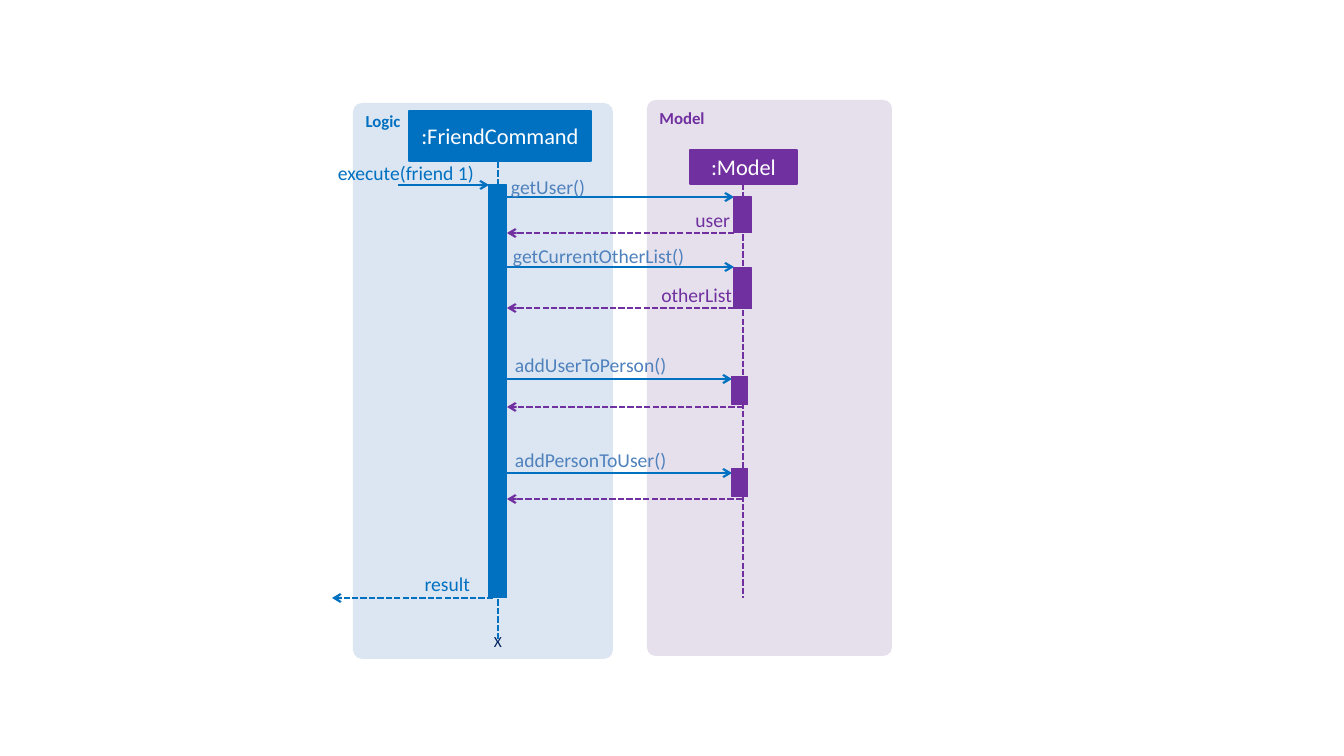
from collections import namedtuple

from lxml.etree import SubElement
from pptx import Presentation
from pptx.dml.color import RGBColor
from pptx.enum.dml import MSO_LINE_DASH_STYLE as Dash
from pptx.enum.shapes import MSO_CONNECTOR as Connector, MSO_SHAPE as Shape
from pptx.enum.text import MSO_ANCHOR as Anchor, PP_ALIGN as Align
from pptx.oxml.ns import qn
from pptx.util import Emu, Pt

SCALE = 914400 / 100.8
FONT = "Calibri"
BLUE = RGBColor(0x00, 0x70, 0xC0)
PURPLE = RGBColor(0x70, 0x30, 0xA0)
CALL_BLUE = RGBColor(0x4F, 0x81, 0xBD)
NAVY = RGBColor(0x00, 0x20, 0x60)
PALE_BLUE = RGBColor(0xDC, 0xE6, 0xF2)
PALE_PURPLE = RGBColor(0xE6, 0xE0, 0xEC)
WHITE = RGBColor(0xFF, 0xFF, 0xFF)


def px(length):
    """Turn pixels into EMU."""
    return Emu(round(length * SCALE))


class SequenceDiagram:
    """Draws the parts of a sequence diagram on one slide."""

    def __init__(self, slide):
        self.shapes = slide.shapes

    def set_text(self, frame, text, size, color, align=Align.LEFT, bold=False):
        """Put one formatted line of text into a frame."""
        frame.text = text
        paragraph = frame.paragraphs[0]
        paragraph.alignment = align
        font = paragraph.runs[0].font
        font.name, font.size, font.bold = FONT, Pt(size), bold
        font.color.rgb = color

    def block(self, box, fill, line_width=0, kind=Shape.RECTANGLE):
        """Add a filled shape, outlined in its own colour if a width is given."""
        shape = self.shapes.add_shape(kind, *map(px, box))
        shape.shadow.inherit = False
        shape.fill.solid()
        shape.fill.fore_color.rgb = fill
        if line_width:
            shape.line.color.rgb = fill
            shape.line.width = Pt(line_width)
        else:
            shape.line.fill.background()
        return shape

    def component(self, box, name, fill, color):
        """Add a rounded panel with its name in the top left corner."""
        panel = self.block(box, fill, kind=Shape.ROUNDED_RECTANGLE)
        panel.adjustments[0] = 0.035
        panel.text_frame.vertical_anchor = Anchor.TOP
        self.set_text(panel.text_frame, name, 12, color, bold=True)

    def participant(self, box, name, color):
        """Add the head box of a lifeline."""
        head = self.block(box, color, 1.5)
        head.text_frame.vertical_anchor = Anchor.MIDDLE
        head.text_frame.word_wrap = False
        self.set_text(head.text_frame, name, 16, WHITE, Align.CENTER)

    def activation(self, box, color):
        """Add an activation bar."""
        self.block(box, color, 0.75)

    def line(self, start, end, color, dashed=False, arrow=True):
        """Add a line, by default with an arrow at its end."""
        link = self.shapes.add_connector(
            Connector.STRAIGHT, *map(px, (*start, *end)))
        link.line.color.rgb = color
        link.line.width = Pt(1.5)
        if dashed:
            link.line.dash_style = Dash.SQUARE_DOT
        properties = link._element.spPr
        if arrow:
            SubElement(properties.get_or_add_ln(), qn("a:tailEnd"), type="arrow")
        SubElement(properties, qn("a:effectLst"))

    def label(self, box, text, color, align=Align.LEFT, size=14):
        """Add a text label without margins."""
        frame = self.shapes.add_textbox(*map(px, box)).text_frame
        frame.word_wrap = True
        frame.margin_left = frame.margin_right = 0
        frame.margin_top = frame.margin_bottom = 0
        self.set_text(frame, text, size, color, align)


Call = namedtuple("Call", "name name_at call_y bar reply_from reply reply_at")
CALLS = [
    Call("getUser()", (511, 175), 197, (734, 197, 18, 36), (734, 233),
         "user", (730, 208)),
    Call("getCurrentOtherList()", (513, 244), 267, (734, 268, 18, 41), (734, 308),
         "otherList", (732, 283)),
    Call("addUserToPerson()", (515, 353), 379, (732, 377, 16, 28), (743, 407),
         None, None),
    Call("addPersonToUser()", (515, 448), 473, (732, 469, 16, 28), (742, 499),
         None, None),
]
COMMAND_X, MODEL_X = 498, 743
COMMAND_EDGE = 507
START_Y, RESULT_Y = 185, 598
LABEL_WIDTH, LABEL_HEIGHT = 190, 24

prs = Presentation()
prs.slide_width, prs.slide_height = px(1344), px(756)
diagram = SequenceDiagram(prs.slides.add_slide(prs.slide_layouts[6]))

diagram.component((647, 100, 245, 556), "Model", PALE_PURPLE, PURPLE)
diagram.component((353, 103, 260, 556), "Logic", PALE_BLUE, BLUE)
diagram.participant((409, 111, 182, 50), ":FriendCommand", BLUE)
diagram.participant((690, 150, 107, 34), ":Model", PURPLE)

diagram.line((COMMAND_X, 162), (COMMAND_X, 641), BLUE, dashed=True, arrow=False)
diagram.line((MODEL_X, 184), (MODEL_X, RESULT_Y), PURPLE, dashed=True, arrow=False)
diagram.activation((489, START_Y, 18, RESULT_Y - START_Y), BLUE)

diagram.line((398, START_Y), (489, START_Y), BLUE)
diagram.label((328, 161, 146, LABEL_HEIGHT), "execute(friend 1)", BLUE, Align.RIGHT)

for call in CALLS:
    diagram.line((COMMAND_EDGE, call.call_y), (call.bar[0], call.call_y), BLUE)
    diagram.line(call.reply_from, (COMMAND_EDGE, call.reply_from[1]), PURPLE,
                 dashed=True)
    diagram.activation(call.bar, PURPLE)
    diagram.label((*call.name_at, LABEL_WIDTH, LABEL_HEIGHT), call.name, CALL_BLUE)
    if call.reply:
        right, top = call.reply_at
        diagram.label((right - LABEL_WIDTH, top, LABEL_WIDTH, LABEL_HEIGHT),
                      call.reply, PURPLE, Align.RIGHT)

diagram.line((493, RESULT_Y), (332, RESULT_Y), BLUE, dashed=True)
diagram.label((401, 572, 69, LABEL_HEIGHT), "result", BLUE, Align.RIGHT)
diagram.label((484, 632, 28, 19), "X", NAVY, Align.CENTER, size=11)

prs.save("out.pptx")
